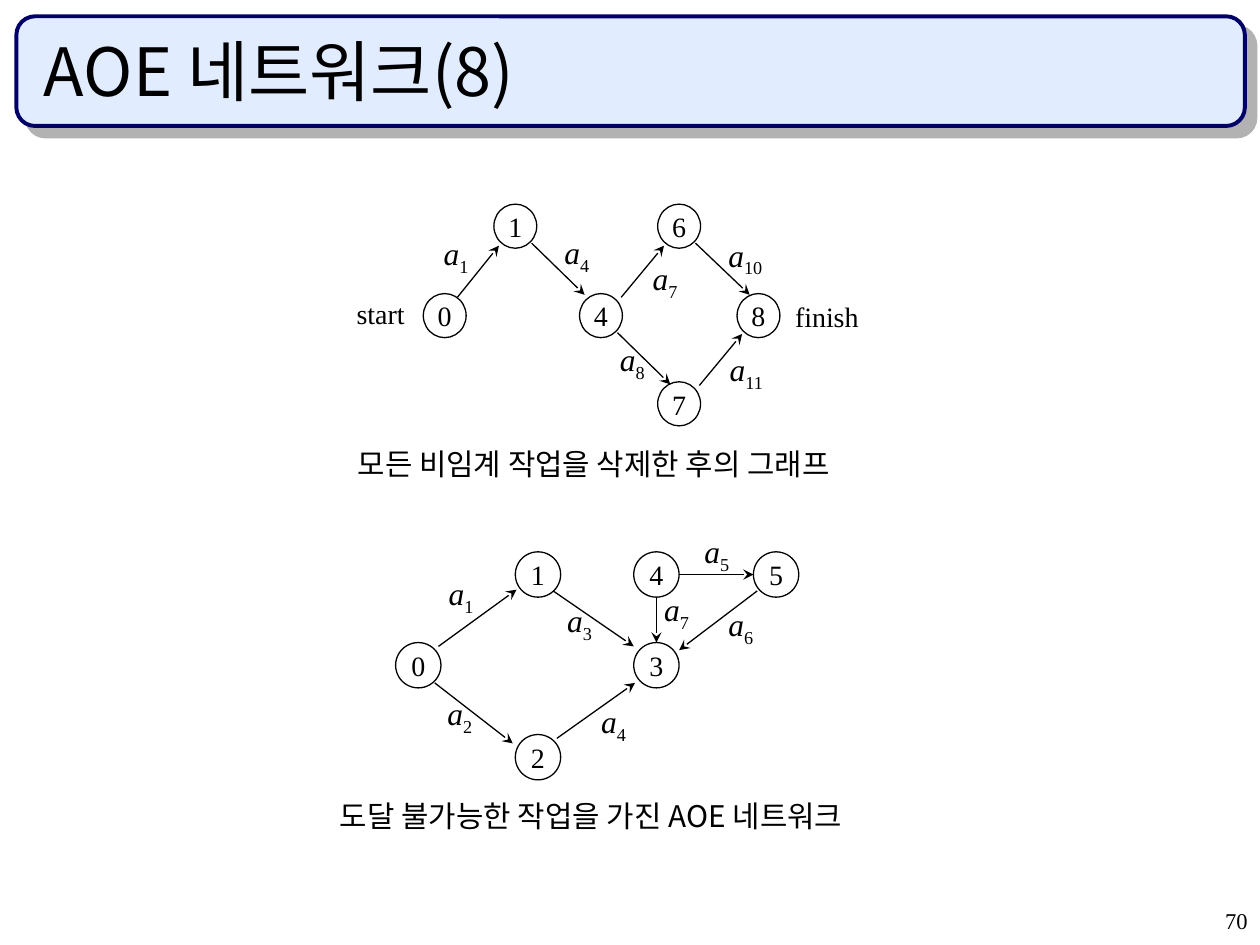
from lxml import etree
from pptx import Presentation
from pptx.dml.color import RGBColor
from pptx.enum import shapes, text
from pptx.oxml.ns import qn
from pptx.util import Inches, Pt

SERIF, SANS = "Times New Roman", "Noto Sans CJK KR"
BLACK = "000000"

TITLE = "AOE 네트워크(8)"
PAGE = "70"

# nodes: label, left, top
# edges: activity number, start, end, top left of its label
GRAPHS = [
    {
        "size": (0.34, 0.35),
        "nodes": [
            ("0", 3.36, 2.33), ("4", 4.6, 2.33), ("8", 5.85, 2.33),
            ("1", 3.92, 1.62), ("6", 5.22, 1.62), ("7", 5.22, 3.03),
        ],
        "edges": [
            ("1", (3.63, 2.36), (3.96, 1.95), (3.52, 1.86)),
            ("4", (4.22, 1.93), (4.64, 2.34), (4.48, 1.85)),
            ("7", (4.93, 2.36), (5.27, 1.95), (5.18, 2.06)),
            ("10", (5.52, 1.93), (5.95, 2.34), (5.78, 1.87)),
            ("8", (4.9, 2.64), (5.32, 3.05), (4.92, 2.7)),
            ("11", (5.55, 3.06), (5.89, 2.65), (5.79, 2.78)),
        ],
        "caption": ("모든 비임계 작업을 삭제한 후의 그래프", 2.74, 3.49, 4.01),
    },
    {
        "size": (0.36, 0.36),
        "nodes": [
            ("0", 3.14, 5.1), ("3", 5.03, 5.1), ("1", 4.09, 4.38),
            ("2", 4.09, 5.83), ("5", 5.98, 4.38), ("4", 5.03, 4.38),
        ],
        "edges": [
            ("1", (3.48, 5.13), (4.1, 4.68), (3.56, 4.56)),
            ("2", (3.45, 5.42), (4.07, 5.9), (3.55, 5.51)),
            ("3", (4.39, 4.69), (5.03, 5.13), (4.5, 4.77)),
            ("4", (4.42, 5.86), (5.04, 5.42), (4.77, 5.57)),
            ("5", (5.39, 4.56), (5.98, 4.56), (5.59, 4.22)),
            ("6", (6.01, 4.69), (5.39, 5.16), (5.78, 4.8)),
            ("7", (5.21, 4.74), (5.21, 5.1), (5.27, 4.68)),
        ],
        "caption": ("도달 불가능한 작업을 가진 AOE 네트워크", 2.6, 6.28, 4.37),
    },
]
ENDS = [("start", 2.83, 2.35, 0.45), ("finish", 6.31, 2.38, 0.55)]


def color(code):
    return RGBColor.from_string(code)


def style(para, size, name=SERIF):
    """Set the paragraph font, for Latin and East Asian text alike."""
    para.font.size = Pt(size)
    para.font.color.rgb = color(BLACK)
    para.font.name = name
    for props in para._p.iter(qn("a:defRPr")):
        etree.SubElement(props, qn("a:ea"), typeface=name)


def inset(frame, side, end):
    frame.margin_left = frame.margin_right = Inches(side)
    frame.margin_top = frame.margin_bottom = Inches(end)


def add_text(slide, words, box, size, name=SERIF, pad=(0, 0), wrap=False, grow=True):
    frame = slide.shapes.add_textbox(*map(Inches, box)).text_frame
    inset(frame, *pad)
    frame.word_wrap = wrap
    if grow:
        frame.auto_size = text.MSO_AUTO_SIZE.SHAPE_TO_FIT_TEXT
    para = frame.paragraphs[0]
    if words:
        para.add_run().text = words
    style(para, size, name)
    return frame


def add_banner(slide):
    bar = slide.shapes.add_shape(
        shapes.MSO_SHAPE.ROUNDED_RECTANGLE, *map(Inches, (0.13, 0.13, 9.75, 0.87)))
    bar.adjustments[0] = 0.17
    bar.fill.solid()
    bar.fill.fore_color.rgb = color("E1ECFF")
    bar.line.color.rgb = color("000066")
    bar.line.width = Pt(2.25)
    bar.shadow.inherit = False
    cast = etree.SubElement(
        bar._element.spPr.find(qn("a:effectLst")), qn("a:outerShdw"),
        dist=str(Pt(8.5)), dir=str(45 * 60000), algn="ctr", rotWithShape="0")
    etree.SubElement(cast, qn("a:srgbClr"), val="B2B2B2")

    frame = add_text(slide, TITLE, (0.25, 0.25, 9.42, 0.67), 38, SANS,
                     (0.1, 0.05), wrap=True, grow=False)
    frame.vertical_anchor = text.MSO_ANCHOR.BOTTOM


def add_node(slide, label, left, top, size):
    node = slide.shapes.add_shape(
        shapes.MSO_SHAPE.OVAL, *map(Inches, (left, top, *size)))
    node.fill.background()
    node.line.color.rgb = color(BLACK)
    node.line.width = Pt(0.75)
    node.shadow.inherit = False
    frame = node.text_frame
    inset(frame, 0, 0)
    frame.word_wrap = False
    frame.vertical_anchor = text.MSO_ANCHOR.MIDDLE
    para = frame.paragraphs[0]
    para.add_run().text = label
    para.alignment = text.PP_ALIGN.CENTER
    style(para, 16)


def add_edge(slide, number, start, end, spot):
    """Draw an arrow and its label, the letter a with a subscript."""
    edge = slide.shapes.add_connector(
        shapes.MSO_CONNECTOR.STRAIGHT, *map(Inches, start + end))
    edge.line.color.rgb = color(BLACK)
    edge.line.width = Pt(0.75)
    etree.SubElement(edge.line._get_or_add_ln(), qn("a:tailEnd"), type="stealth")
    etree.SubElement(edge._element.spPr, qn("a:effectLst"))

    para = add_text(slide, "", (*spot, 0.31, 0.34), 18, wrap=True).paragraphs[0]
    name, sub = para.add_run(), para.add_run()
    name.text, sub.text = "a", number
    name.font.italic = True
    sub._r.get_or_add_rPr().set("baseline", "-25000")


def main():
    deck = Presentation()
    deck.slide_width, deck.slide_height = Inches(10), Inches(7.5)
    slide = deck.slides.add_slide(deck.slide_layouts[6])

    add_banner(slide)
    for graph in GRAPHS:
        for node in graph["nodes"]:
            add_node(slide, *node, graph["size"])
        for edge in graph["edges"]:
            add_edge(slide, *edge)
        words, left, top, width = graph["caption"]
        add_text(slide, words, (left, top, width, 0.39), 17, SANS, (0.1, 0.05))
    for words, left, top, width in ENDS:
        add_text(slide, words, (left, top, width, 0.27), 16, wrap=True)

    page = add_text(slide, PAGE, (7.92, 7.17, 2.08, 0.33), 12.9,
                    pad=(0.1, 0.05), wrap=True, grow=False).paragraphs[0]
    page.alignment = text.PP_ALIGN.RIGHT
    page.line_spacing = 0.9
    page.space_before = Pt(8.8)
    deck.save("out.pptx")


if __name__ == "__main__":
    main()
